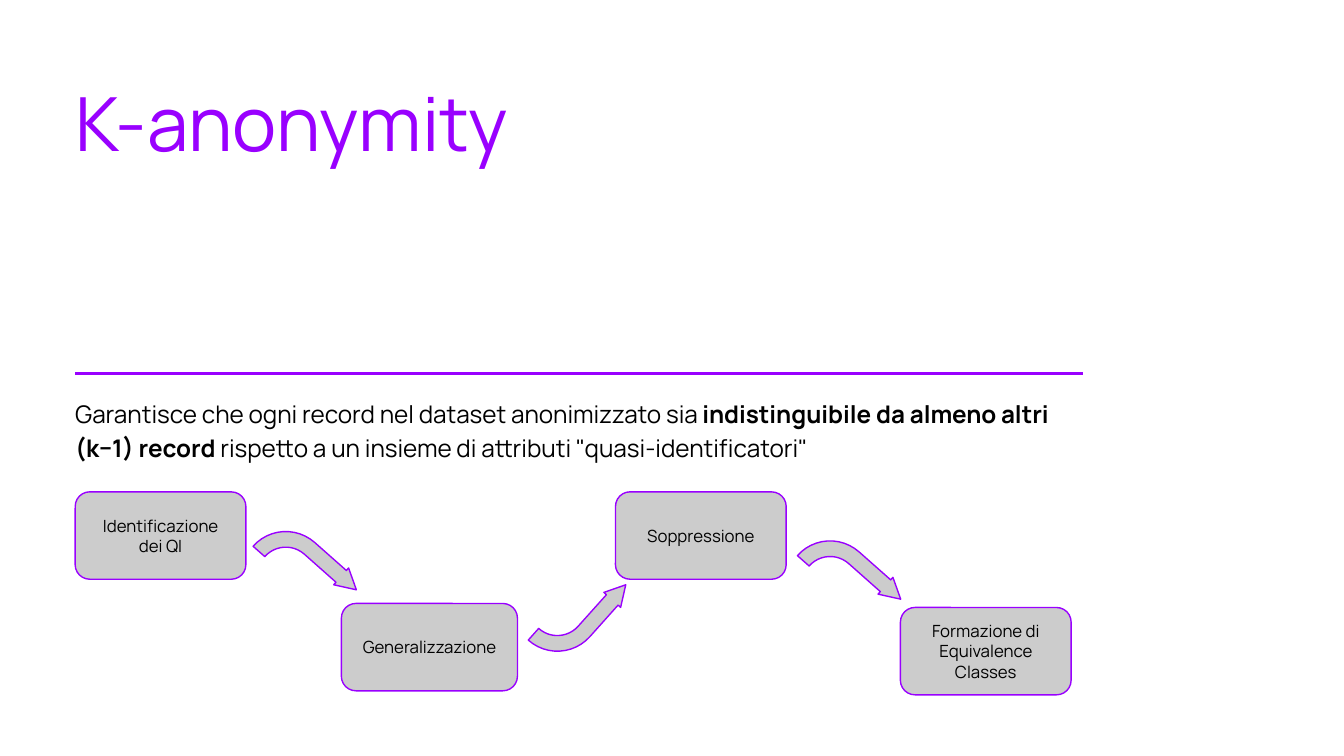
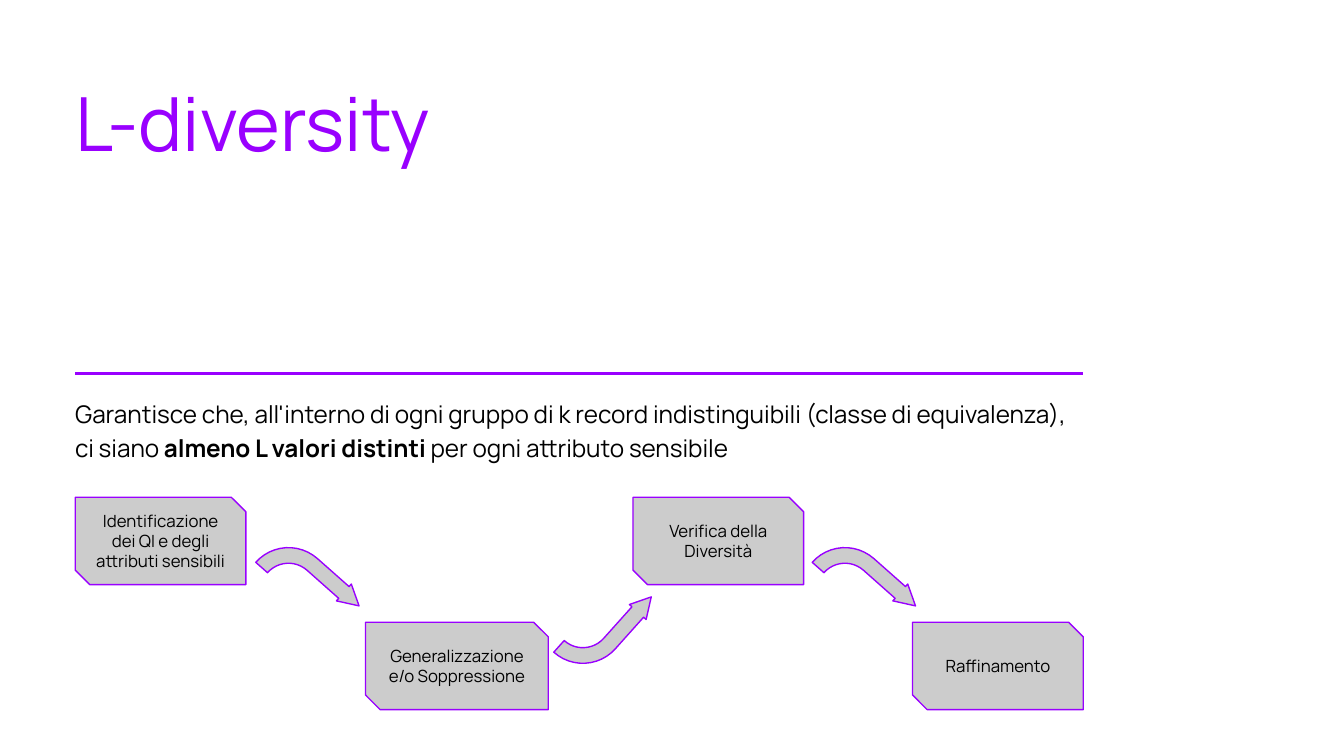
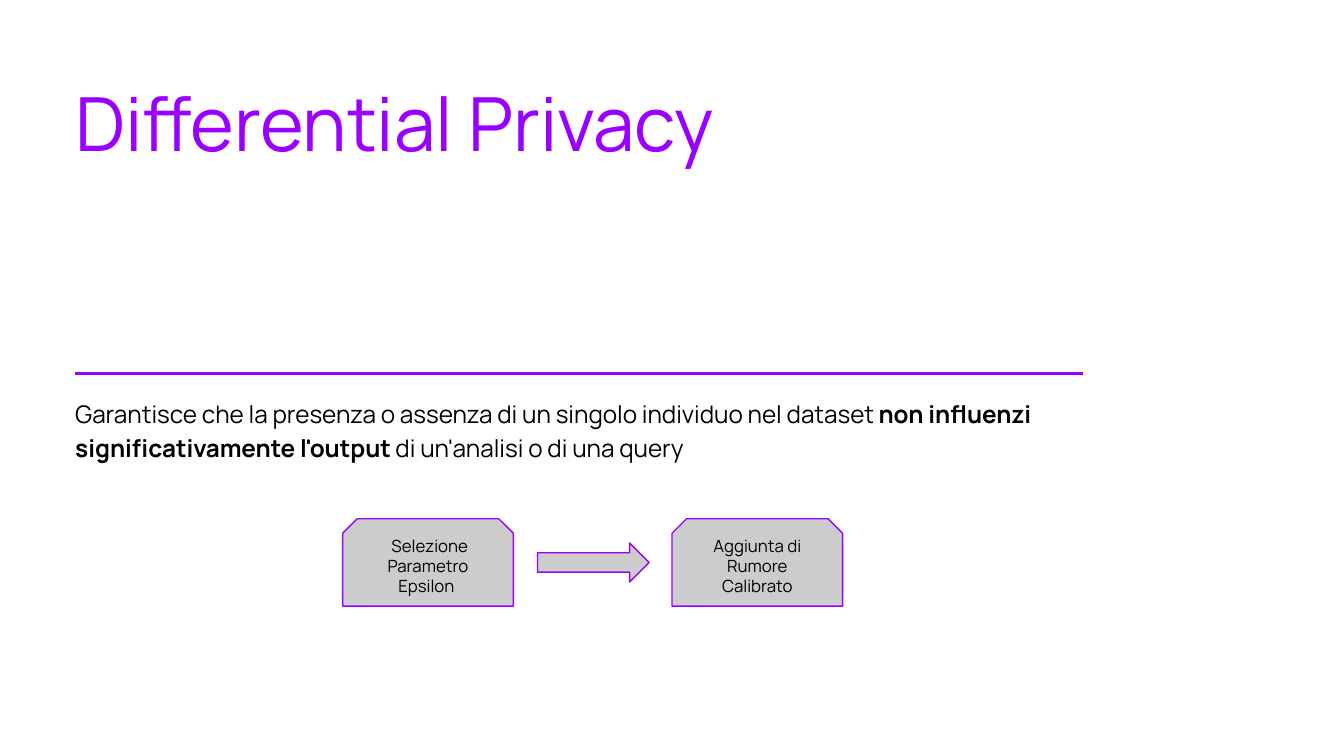
from lxml.etree import SubElement
from pptx import Presentation
from pptx.dml.color import RGBColor
from pptx.enum.shapes import MSO_CONNECTOR, MSO_SHAPE
from pptx.enum.text import MSO_ANCHOR, PP_ALIGN
from pptx.oxml.ns import qn
from pptx.util import Inches, Pt

PURPLE, GREY, BLACK = "9900FF", "CCCCCC", "000000"
FONT = "Manrope"
LEFT, TEXT_WIDTH = 0.56, 7.52
STEP_WIDTH, STEP_HEIGHT = 1.27, 0.65
BEND = (0.333, 0.239, 0.43, 0.939)


def rgb(value):
    return RGBColor.from_string(value)


def write(frame, text, size, color=BLACK, margin=0, align=PP_ALIGN.LEFT,
          anchor=MSO_ANCHOR.TOP, line_spacing=None, space_after=None):
    """Fill a text frame with one paragraph; **double stars** enclose bold words."""
    frame.word_wrap = True
    frame.vertical_anchor = anchor
    frame.margin_left = frame.margin_right = Inches(margin)
    frame.margin_top = frame.margin_bottom = Inches(margin)
    para = frame.paragraphs[0]
    para.alignment = align
    para.line_spacing = line_spacing
    para.space_after = space_after
    for index, part in enumerate(text.split("**")):
        span = para.add_run()
        span.text = part
        span.font.name = FONT
        span.font.size = Pt(size)
        span.font.bold = index % 2 == 1
        span.font.color.rgb = rgb(color)


class Builder:
    """Holds the deck, the current page and the shared style."""

    def __init__(self):
        self.deck = Presentation()
        self.deck.slide_width = Inches(10)
        self.deck.slide_height = Inches(10 * 9 / 16)
        self.page = None

    def start_page(self, title, definition):
        self.page = self.deck.slides.add_slide(self.deck.slide_layouts[6])
        self.rule(LEFT, 2.78, 8.06)
        self.text_box(0.57, 1.22, title, size=40, color=PURPLE)
        self.text_box(2.94, 3.74, definition, size=13, line_spacing=1.15, space_after=Pt(8))

    def rule(self, left, top, right):
        line = self.page.shapes.add_connector(
            MSO_CONNECTOR.STRAIGHT, Inches(left), Inches(top), Inches(right), Inches(top))
        line.line.color.rgb = rgb(PURPLE)
        line.line.width = Pt(1.5)
        SubElement(line._element.spPr, qn("a:effectLst"))

    def text_box(self, top, height, text, **style):
        box = self.page.shapes.add_textbox(
            Inches(LEFT), Inches(top), Inches(TEXT_WIDTH), Inches(height))
        write(box.text_frame, text, **style)

    def shape(self, kind, left, top, width, height, adjustments):
        shape = self.page.shapes.add_shape(
            kind, Inches(left), Inches(top), Inches(width), Inches(height))
        for index, value in enumerate(adjustments):
            shape.adjustments[index] = value
        shape.shadow.inherit = False
        shape.fill.solid()
        shape.fill.fore_color.rgb = rgb(GREY)
        shape.line.color.rgb = rgb(PURPLE)
        shape.line.width = Pt(0.75)
        return shape

    def step(self, kind, adjustments, text, left, top, width=STEP_WIDTH):
        box = self.shape(kind, left, top, width, STEP_HEIGHT, adjustments)
        write(box.text_frame, text, size=9, margin=0.1,
              align=PP_ALIGN.CENTER, anchor=MSO_ANCHOR.MIDDLE)

    def bent_arrow(self, left, top, rising=False):
        arrow = self.shape(MSO_SHAPE.BENT_ARROW, left, top, 0.79, 0.35, BEND)
        arrow.rotation = 131.8 if rising else 41.5
        if rising:
            arrow._element.spPr.find(qn("a:xfrm")).set("flipH", "1")

    def straight_arrow(self, left, top):
        self.shape(MSO_SHAPE.RIGHT_ARROW, left, top, 0.83, 0.29, (0.5, 0.5))

    def flow(self, kind, adjustments, steps, bent_arrows=()):
        """Draw the steps, then bent arrows that fall and rise in turn."""
        for step in steps:
            self.step(kind, adjustments, *step)
        for index, (left, top) in enumerate(bent_arrows):
            self.bent_arrow(left, top, rising=index % 2 == 1)


def main():
    builder = Builder()

    builder.start_page(
        "K-anonymity",
        "Garantisce che ogni record nel dataset anonimizzato sia **indistinguibile da almeno "
        "altri (k−1) record** rispetto a un insieme di attributi \"quasi-identificatori\"")
    builder.flow(
        MSO_SHAPE.ROUNDED_RECTANGLE, (0.167,),
        [("Identificazione dei QI", LEFT, 3.66),
         ("Generalizzazione", 2.54, 4.49, 1.31),
         ("Soppressione", 4.58, 3.66),
         ("Formazione di Equivalence Classes", 6.7, 4.52)],
        [(1.9, 4.02), (3.93, 4.41), (5.95, 4.09)])

    builder.start_page(
        "L-diversity",
        "Garantisce che, all'interno di ogni gruppo di k record indistinguibili (classe di "
        "equivalenza), ci siano **almeno L valori distinti** per ogni attributo sensibile")
    high, low = 3.7, 4.63
    builder.flow(
        MSO_SHAPE.SNIP_2_DIAG_RECTANGLE, (0, 0.167),
        [("Identificazione dei QI e degli attributi sensibili", LEFT, high),
         ("Generalizzazione e/o Soppressione", 2.72, low, 1.36),
         ("Verifica della Diversità", 4.71, high),
         ("Raffinamento", 6.79, low)],
        [(1.92, 4.14), (4.12, 4.5), (6.06, 4.14)])

    builder.start_page(
        "Differential Privacy",
        "Garantisce che la presenza o assenza di un singolo individuo nel dataset **non "
        "influenzi significativamente l'output** di un'analisi o di una query")
    builder.flow(
        MSO_SHAPE.SNIP_2_SAME_RECTANGLE, (0.167, 0),
        [(" Selezione Parametro Epsilon ", 2.55, 3.86),
         ("Aggiunta di Rumore Calibrato", 5, 3.86)])
    builder.straight_arrow(4, 4.04)

    builder.deck.save("out.pptx")


if __name__ == "__main__":
    main()
